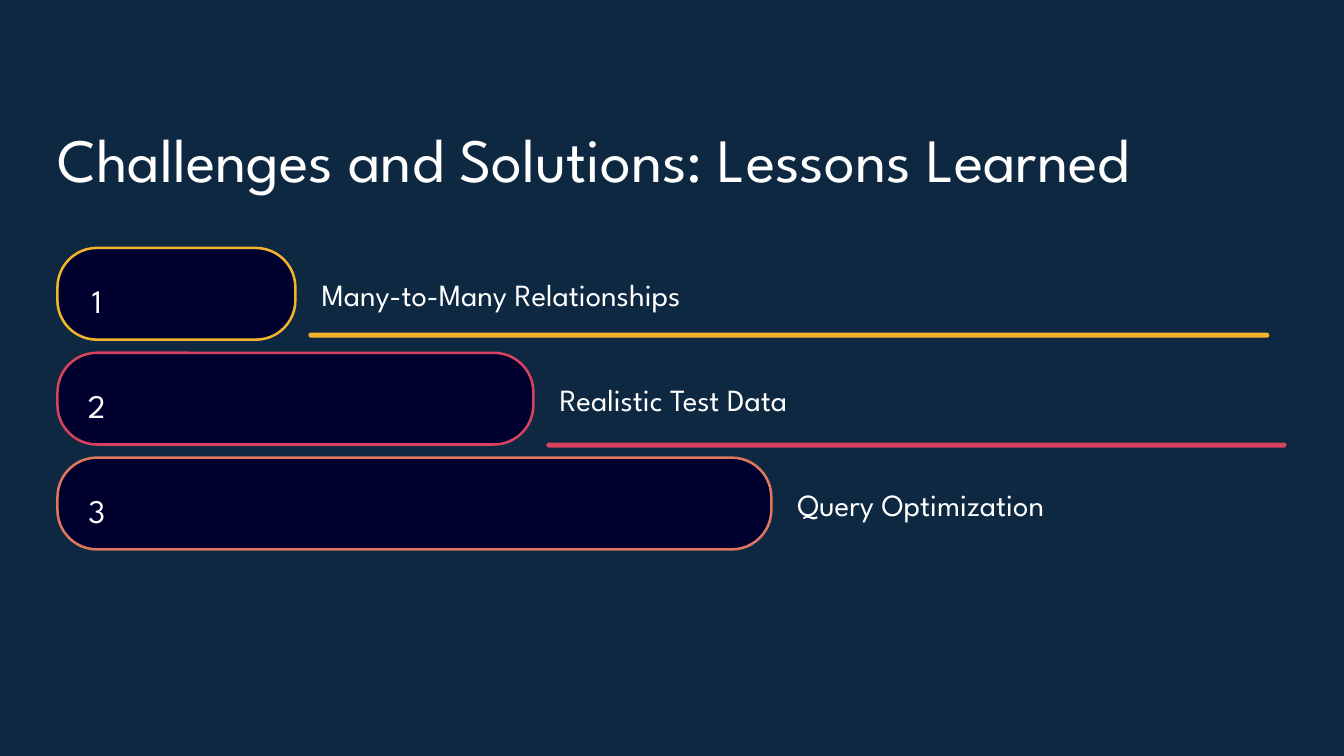
"""Build a slide of three lessons learned as growing numbered bars."""
from dataclasses import dataclass

from pptx import Presentation
from pptx.dml.color import RGBColor
from pptx.enum.shapes import MSO_SHAPE as Shape
from pptx.enum.text import MSO_ANCHOR as Anchor, MSO_AUTO_SIZE as AutoSize, PP_ALIGN as Align
from pptx.util import Inches, Pt

TITLE = "Challenges and Solutions: Lessons Learned"
LESSONS = [
    {"label": "Many-to-Many Relationships", "width": 4.06, "accent": "F2B42D",
     "rule": {"drop": 0.84, "end": 12.59}},
    {"label": "Realistic Test Data", "width": 2.61, "accent": "D7425E",
     "rule": {"drop": 0.89, "end": 12.76}},
    {"label": "Query Optimization", "width": 2.74, "accent": "DD785E", "rule": None},
]


@dataclass(frozen=True)
class Theme:
    font: str = "League Spartan"
    background: str = "0E2841"
    bar: str = "00002E"
    text: str = "FFFFFF"
    outline: float = 1.8
    title: tuple = (44, 55)
    number: tuple = (23.5, 37.5)
    label: tuple = (22, 27.5)


THEME = Theme()
SLIDE_WIDTH, SLIDE_HEIGHT = 13.33, 7.5
LEFT, TOP = 0.57, 2.46
COLUMN, ROW, BAR_HEIGHT = 2.36, 1.04, 0.91
GAP, RULE_HEIGHT = 0.13, 0.05


def apply(target, values):
    for name, value in values.items():
        setattr(target, name, value)


def paint(fill, color):
    fill.solid()
    fill.fore_color.rgb = RGBColor.from_string(color)


def write(holder, text, style, align=Align.LEFT):
    size, leading = style
    frame = holder.text_frame
    frame.text = text
    apply(frame, {"margin_left": 0, "margin_top": 0, "margin_right": 0, "margin_bottom": 0,
                  "word_wrap": False, "auto_size": AutoSize.NONE,
                  "vertical_anchor": Anchor.TOP})
    paragraph = frame.paragraphs[0]
    apply(paragraph, {"alignment": align, "line_spacing": Pt(leading), "space_before": Pt(0)})
    font = paragraph.runs[0].font
    apply(font, {"name": THEME.font, "size": Pt(size)})
    font.color.rgb = RGBColor.from_string(THEME.text)


def add_text(slide, box, *content):
    write(slide.shapes.add_textbox(*map(Inches, box)), *content)


def add_pill(slide, box, roundness, fill, outline=None):
    pill = slide.shapes.add_shape(Shape.ROUNDED_RECTANGLE, *map(Inches, box))
    pill.adjustments[0] = roundness
    pill.shadow.inherit = False
    paint(pill.fill, fill)
    if outline:
        paint(pill.line.fill, outline)
        pill.line.width = Pt(THEME.outline)
    else:
        pill.line.fill.background()


def add_lesson(slide, index, lesson):
    top = TOP + index * ROW
    bar_width = (index + 1) * COLUMN
    bar_end = LEFT + bar_width
    add_pill(slide, (LEFT, top, bar_width, BAR_HEIGHT), 0.43, THEME.bar, lesson["accent"])
    add_text(slide, (LEFT + 0.29, top + 0.195, 0.2, 0.52),
             str(index + 1), THEME.number, Align.CENTER)
    add_text(slide, (bar_end + 2 * GAP, top + 2 * GAP, lesson["width"], 0.38),
             lesson["label"], THEME.label)
    if lesson["rule"]:
        start = bar_end + GAP
        add_pill(slide, (start, top + lesson["rule"]["drop"],
                         lesson["rule"]["end"] - start, RULE_HEIGHT), 0.5, lesson["accent"])


def main():
    deck = Presentation()
    apply(deck, {"slide_width": Inches(SLIDE_WIDTH), "slide_height": Inches(SLIDE_HEIGHT)})
    slide = deck.slides.add_slide(deck.slide_layouts.get_by_name("Title Only"))
    paint(slide.background.fill, THEME.background)
    title = slide.shapes.title
    apply(title, {"left": Inches(LEFT), "top": Inches(1.17),
                  "width": Inches(SLIDE_WIDTH - 2 * LEFT), "height": Inches(0.77)})
    write(title, TITLE, THEME.title)
    for index, lesson in enumerate(LESSONS):
        add_lesson(slide, index, lesson)
    deck.save("out.pptx")


if __name__ == "__main__":
    main()
